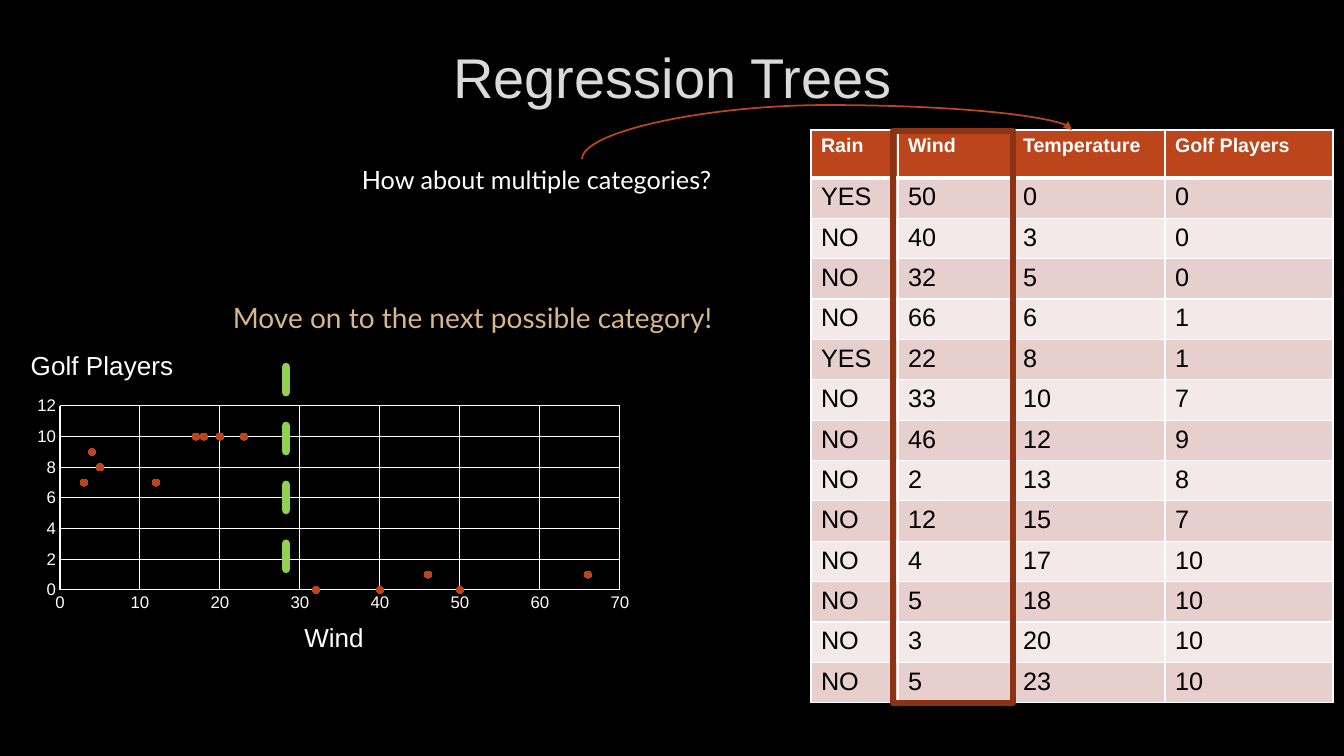
from lxml import etree
from pptx import Presentation, util as u
from pptx.chart.data import XyChartData
from pptx.dml.color import RGBColor
from pptx.enum import chart as charts, dml, shapes, text
from pptx.oxml import ns

COLORS = {"night": "000000", "white": "FFFFFF", "title": "DADADA", "rust": "BC451B",
          "frame": "8B3314", "split": "92D050", "sand": "D7B78B",
          "odd_row": "E7CFCD", "even_row": "F3E9E8"}
HEADINGS = ("Rain", "Wind", "Temperature", "Golf Players")
RECORDS = (("YES", 50, 0, 0), ("NO", 40, 3, 0), ("NO", 32, 5, 0), ("NO", 66, 6, 1),
           ("YES", 22, 8, 1), ("NO", 33, 10, 7), ("NO", 46, 12, 9), ("NO", 2, 13, 8),
           ("NO", 12, 15, 7), ("NO", 4, 17, 10), ("NO", 5, 18, 10), ("NO", 3, 20, 10),
           ("NO", 5, 23, 10))
POINTS = ((50, 0), (40, 0), (32, 0), (66, 1), (22, None), (33, None), (46, 1), (2, None),
          (12, 7), (4, 9), (5, 8), (3, 7), (17, 10), (18, 10), (23, 10), (20, 10))


def px(length):
    """Turn pixels into EMU."""
    return u.Inches(length / 100.8)


def color(name):
    """Look up a named colour."""
    return RGBColor.from_string(COLORS[name])


def add_xml(parent, tag, **attributes):
    """Append an XML child and return it."""
    return etree.SubElement(parent, ns.qn(tag), attributes)


def style_font(font, size, shade, face="Arial", bold=False):
    """Set size, colour, face and weight of a font."""
    font.size, font.name, font.bold = u.Pt(size), face, bold
    font.color.rgb = color(shade)


def style_line(line, shade, width):
    """Give a line a solid colour and a width."""
    line.color.rgb, line.width = color(shade), u.Pt(width)


def add_label(page, box, wording, size, shade, face="Arial", centred=False,
              anchor=text.MSO_ANCHOR.TOP, wrap=True):
    """Add one line of text in the given box."""
    frame = page.shapes.add_textbox(*map(px, box)).text_frame
    frame.text, frame.word_wrap, frame.vertical_anchor = wording, wrap, anchor
    para = frame.paragraphs[0]
    para.alignment = text.PP_ALIGN.CENTER if centred else text.PP_ALIGN.LEFT
    style_font(para.runs[0].font, size, shade, face)


def add_line(page, kind, start, end, shade, width):
    """Add a connector without shadow."""
    line = page.shapes.add_connector(kind, *map(px, (*start, *end)))
    style_line(line.line, shade, width)
    add_xml(line._element.spPr, "a:effectLst")
    return line


def add_arc_arrow(page, start, end, bulge):
    """Add a curved arrow that rises from start and drops onto end."""
    middle_x, middle_y = (start[0] + end[0]) / 2, (start[1] + end[1]) / 2
    half_width, half_height = (start[1] - end[1]) / 2, (end[0] - start[0]) / 2
    arrow = add_line(page, shapes.MSO_CONNECTOR.CURVE,
                     (middle_x + half_width, middle_y + half_height),
                     (middle_x - half_width, middle_y - half_height), "rust", 1.25)
    properties = arrow._element.spPr
    properties.find(ns.qn("a:xfrm")).set("rot", "5400000")
    guides = properties.find(ns.qn("a:prstGeom")).get_or_add_avLst()
    add_xml(guides, "a:gd", name="adj1", fmla=f"val {round(bulge * 100000)}")
    add_xml(arrow.line._get_or_add_ln(), "a:tailEnd", type="triangle")


def place(parent, box, outer, inner=False):
    """Give a chart part a manual layout relative to the chart box."""
    layout = parent.find(ns.qn("c:layout"))
    if layout is None:
        layout = etree.Element(ns.qn("c:layout"))
        parent.insert(1 if parent.find(ns.qn("c:tx")) is not None else 0, layout)
    manual = add_xml(layout, "c:manualLayout")
    if inner:
        add_xml(manual, "c:layoutTarget", val="inner")
    for side in "xy":
        add_xml(manual, f"c:{side}Mode", val="edge")
    shares = ((box[0] - outer[0]) / outer[2], (box[1] - outer[1]) / outer[3],
              *(size / total for size, total in zip(box[2:], outer[2:])))
    for side, share in zip("xywh", shares):
        add_xml(manual, f"c:{side}", val=f"{share:.4f}")


def add_scatter(page, box):
    """Add the wind chart with its axis name and split line."""
    left, top, width, height = box
    data = XyChartData()
    series = data.add_series("Golf Players")
    for wind, players in POINTS:
        series.add_data_point(wind, players)
    chart = page.shapes.add_chart(charts.XL_CHART_TYPE.XY_SCATTER, *map(px, box), data).chart
    for point in list(chart._chartSpace.iter(ns.qn("c:pt"))):
        if point.findtext(ns.qn("c:v")) in ("None", "", None):
            point.getparent().remove(point)
    style_font(chart.font, 10, "white")
    chart.has_legend = False
    chart.has_title = True
    title = chart.chart_title
    title.text_frame.text = "Golf Players"
    title.include_in_layout = False
    style_font(title.text_frame.paragraphs[0].runs[0].font, 18.6, "white")
    place(title._element, (left + 1, top + 7), box)
    place(chart._chartSpace.chart.plotArea, (left + 35, top + 70, 560, 184), box, True)
    for axis, highest, step in ((chart.category_axis, 70, 10), (chart.value_axis, 12, 2)):
        axis.minimum_scale, axis.maximum_scale, axis.major_unit = 0, highest, step
        axis.major_tick_mark = axis.minor_tick_mark = charts.XL_TICK_MARK.NONE
        axis.has_major_gridlines = True
        style_font(axis.tick_labels.font, 12, "white")
        for line in (axis.format.line, axis.major_gridlines.format.line):
            style_line(line, "white", 0.75)
    plot = chart.plots[0]
    plot.vary_by_categories = False
    dots = plot.series[0]
    dots.smooth = False
    dots.format.line.fill.background()
    dots.marker.style, dots.marker.size = charts.XL_MARKER_STYLE.CIRCLE, 5
    dots.marker.format.fill.solid()
    dots.marker.format.fill.fore_color.rgb = color("rust")
    style_line(dots.marker.format.line, "rust", 0.75)
    add_label(page, (left + 267, top + 281, 84, 41), "Wind", 18.6, "white",
              centred=True, wrap=False)
    split = add_line(page, shapes.MSO_CONNECTOR.STRAIGHT, (left + 261, top + 31),
                     (left + 261, top + 258), "split", 6)
    split.line.dash_style = dml.MSO_LINE.DASH
    split.line._get_or_add_ln().set("cap", "rnd")


def style_cell(cell, wording, fill, size, shade, bold, bottom):
    """Fill a table cell and draw its white borders."""
    cell.text = str(wording)
    style_font(cell.text_frame.paragraphs[0].runs[0].font, size, shade, bold=bold)
    properties = cell._tc.get_or_add_tcPr()
    for side, width in (("L", 1), ("R", 1), ("T", 1), ("B", bottom)):
        border = add_xml(properties, f"a:ln{side}", w=str(u.Pt(width)))
        add_xml(add_xml(border, "a:solidFill"), "a:srgbClr", val=COLORS["white"])
    cell.fill.solid()
    cell.fill.fore_color.rgb = color(fill)


def add_records(page, box, widths=(87, 115, 152, 168), heading_height=48):
    """Add the weather table and the frame around its wind column."""
    left, top, width, height = box
    table = page.shapes.add_table(len(RECORDS) + 1, len(HEADINGS), *map(px, box)).table
    for column, size in zip(table.columns, widths):
        column.width = px(size)
    for index, values in enumerate((HEADINGS, *RECORDS)):
        heading = index == 0
        table.rows[index].height = px(
            heading_height if heading else (height - heading_height) / len(RECORDS))
        style = (("rust", 14, "white", True, 3) if heading else
                 ("odd_row" if index % 2 else "even_row", 18, "night", False, 1))
        for column, value in enumerate(values):
            style_cell(table.cell(index, column), value, *style)
    frame = page.shapes.add_shape(shapes.MSO_SHAPE.RECTANGLE, *map(
        px, (left + widths[0] - 5, top + 1, widths[1] + 5, height)))
    frame.shadow.inherit = False
    frame.fill.background()
    style_line(frame.line, "frame", 4.5)


def build_slide(page):
    """Place every region of the regression tree slide."""
    page.background.fill.solid()
    page.background.fill.fore_color.rgb = color("night")
    add_label(page, (102, 23, 1141, 107), "Regression Trees", 40, "title",
              centred=True, anchor=text.MSO_ANCHOR.MIDDLE)
    add_scatter(page, (25, 336, 616, 281))
    add_records(page, (811, 130, 522, 572))
    add_label(page, (352, 159, 459, 72), "How about multiple categories?", 18, "white", "Lato")
    add_arc_arrow(page, (582, 159), (1072, 130), 1.86)
    add_label(page, (223, 296, 506, 44), "Move on to the next possible category!",
              20, "sand", "Lato", wrap=False)


deck = Presentation()
deck.slide_width, deck.slide_height = px(1344), px(756)
build_slide(deck.slides.add_slide(deck.slide_layouts[6]))
deck.save("out.pptx")
